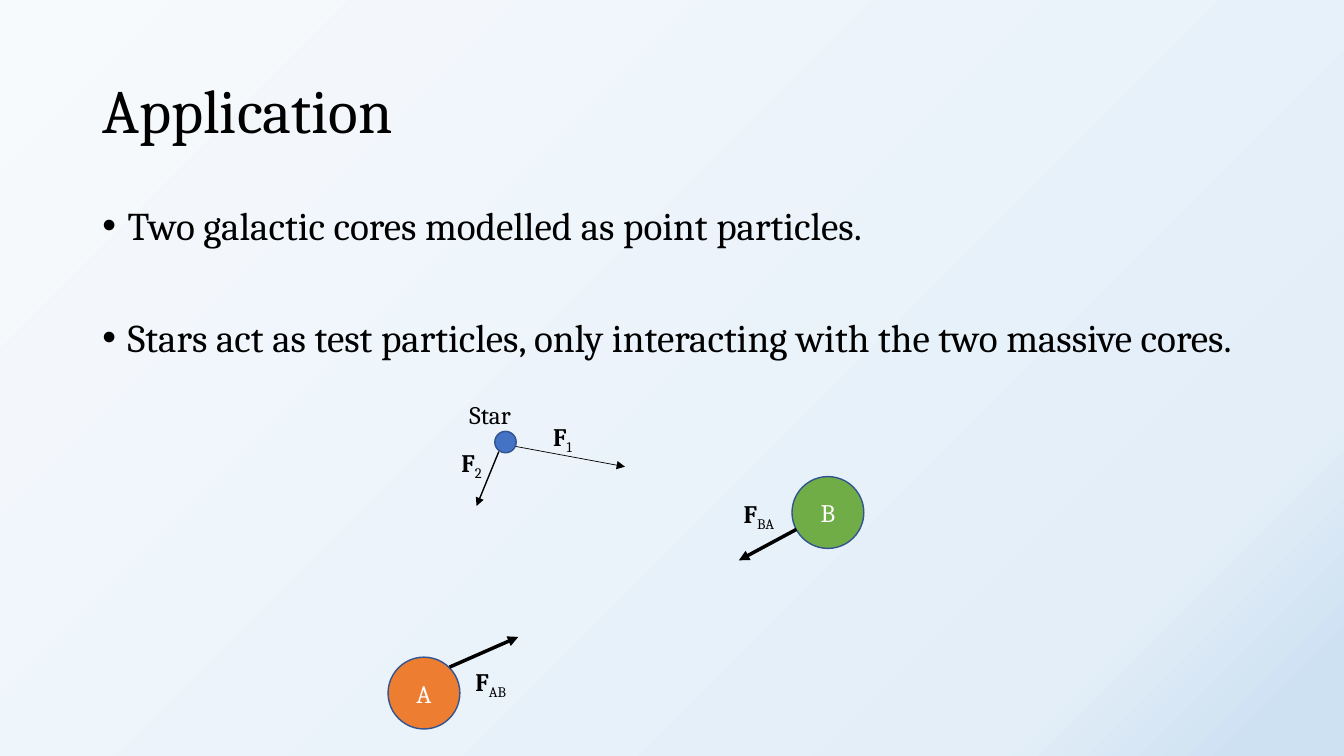
from lxml.etree import SubElement
from pptx import Presentation
from pptx.dml.color import RGBColor
from pptx.enum.shapes import MSO_CONNECTOR, MSO_SHAPE
from pptx.enum.text import MSO_ANCHOR, PP_ALIGN
from pptx.oxml.ns import qn
from pptx.util import Cm, Pt

COLORS = {
    "text": "000000",
    "label": "FFFFFF",
    "outline": "325491",
    "core_a": "ED7D31",
    "core_b": "70AD47",
    "star": "4472C4",
}
BACKGROUND_STOPS = [(0, "F7FAFD"), (83, "E3EEF8"), (95, "CEE1F2")]


class SlideBuilder:
    font_name = "Cambria"

    def __init__(self, page):
        self.page = page

    def color(self, name):
        return RGBColor.from_string(COLORS[name])

    def style(self, para, size, color="text"):
        para.font.name = self.font_name
        para.font.size = Pt(size)
        para.font.color.rgb = self.color(color)

    def background(self, stops):
        fill = self.page.background.fill
        fill.gradient()
        fill.gradient_angle = 315
        stop_list = next(self.page.element.iter(qn("a:gsLst")))
        for old_stop in list(stop_list):
            stop_list.remove(old_stop)
        for percent, value in stops:
            stop = SubElement(stop_list, qn("a:gs"), pos=str(percent * 1000))
            SubElement(stop, qn("a:srgbClr"), val=value)

    def text_box(self, left, top, width, height):
        box = self.page.shapes.add_textbox(Cm(left), Cm(top), Cm(width), Cm(height))
        box.text_frame.word_wrap = True
        return box.text_frame

    def title(self, text, *place):
        frame = self.text_box(*place)
        frame.vertical_anchor = MSO_ANCHOR.MIDDLE
        para = frame.paragraphs[0]
        para.text = text
        para.line_spacing = 0.9
        self.style(para, 44)

    def bullets(self, items, gap, *place):
        frame = self.text_box(*place)
        for index, item in enumerate(items):
            para = frame.add_paragraph() if index else frame.paragraphs[0]
            para.text = item
            para.line_spacing = 0.9
            para.space_before = Pt(gap if index else 0)
            properties = para._p.get_or_add_pPr()
            properties.set("marL", str(Cm(0.64)))
            properties.set("indent", str(-Cm(0.64)))
            SubElement(properties, qn("a:buFont"), typeface="Arial")
            SubElement(properties, qn("a:buChar"), char="•")
            self.style(para, 28)

    def label(self, text, left, top, width, subscript=""):
        para = self.text_box(left, top, width, 1.02).paragraphs[0]
        self.style(para, 18)
        span = para.add_run()
        span.text = text
        if subscript:
            span.font.bold = True
            span = para.add_run()
            span.text = subscript
            span._r.get_or_add_rPr().set("baseline", "-25000")

    def circle(self, left, top, size, fill, text=""):
        body = self.page.shapes.add_shape(
            MSO_SHAPE.OVAL, Cm(left), Cm(top), Cm(size), Cm(size))
        body.shadow.inherit = False
        body.fill.solid()
        body.fill.fore_color.rgb = self.color(fill)
        body.line.color.rgb = self.color("outline")
        body.line.width = Pt(1)
        if text:
            body.text_frame.vertical_anchor = MSO_ANCHOR.MIDDLE
            para = body.text_frame.paragraphs[0]
            para.text = text
            para.alignment = PP_ALIGN.CENTER
            self.style(para, 18, "label")

    def arrow(self, start, end, width):
        arrow = self.page.shapes.add_connector(
            MSO_CONNECTOR.STRAIGHT, *map(Cm, start + end))
        arrow.line.color.rgb = self.color("text")
        arrow.line.width = Pt(width)
        SubElement(arrow.line._get_or_add_ln(), qn("a:tailEnd"), type="triangle")
        SubElement(arrow._element.spPr, qn("a:effectLst"))


def main():
    deck = Presentation()
    deck.slide_width, deck.slide_height = Cm(33.87), Cm(19.05)
    slide = SlideBuilder(deck.slides.add_slide(deck.slide_layouts[6]))
    slide.background(BACKGROUND_STOPS)

    # Heading and points
    slide.title("Application", 2.33, 1.01, 29.21, 3.68)
    slide.bullets([
        "Two galactic cores modelled as point particles.",
        "Stars act as test particles, only interacting with the two massive cores.",
    ], 50, 2.33, 5.07, 29.21, 12.09)

    # Galactic cores and the forces between them
    slide.circle(9.78, 16.56, 1.81, "core_a", "A")
    slide.circle(19.96, 12.01, 1.81, "core_b", "B")
    slide.arrow((11.33, 16.81), (13.06, 16.05), 2.5)
    slide.arrow((20.07, 13.34), (18.62, 14.12), 2.5)
    slide.label("F", 11.73, 16.66, 2.77, "AB")
    slide.label("F", 18.49, 12.42, 2.77, "BA")

    # Star and the forces on it
    slide.circle(12.47, 10.87, 0.54, "star")
    slide.arrow((12.57, 11.38), (12.01, 12.75), 1)
    slide.arrow((13, 11.25), (15.75, 11.76), 0.5)
    slide.label("F", 13.69, 10.49, 2.77, "1")
    slide.label("F", 11.38, 11.15, 1.52, "2")
    slide.label("Star", 11.58, 9.93, 1.96)

    deck.save("out.pptx")


if __name__ == "__main__":
    main()
